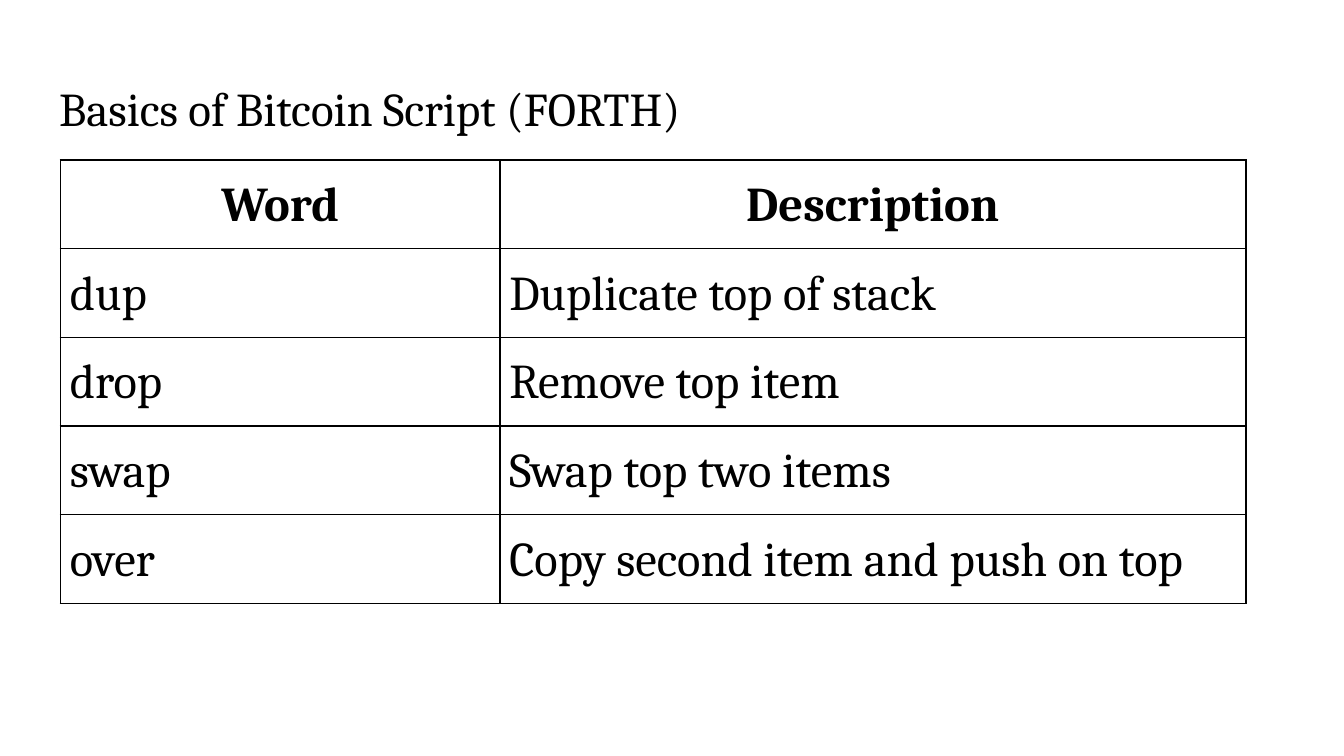
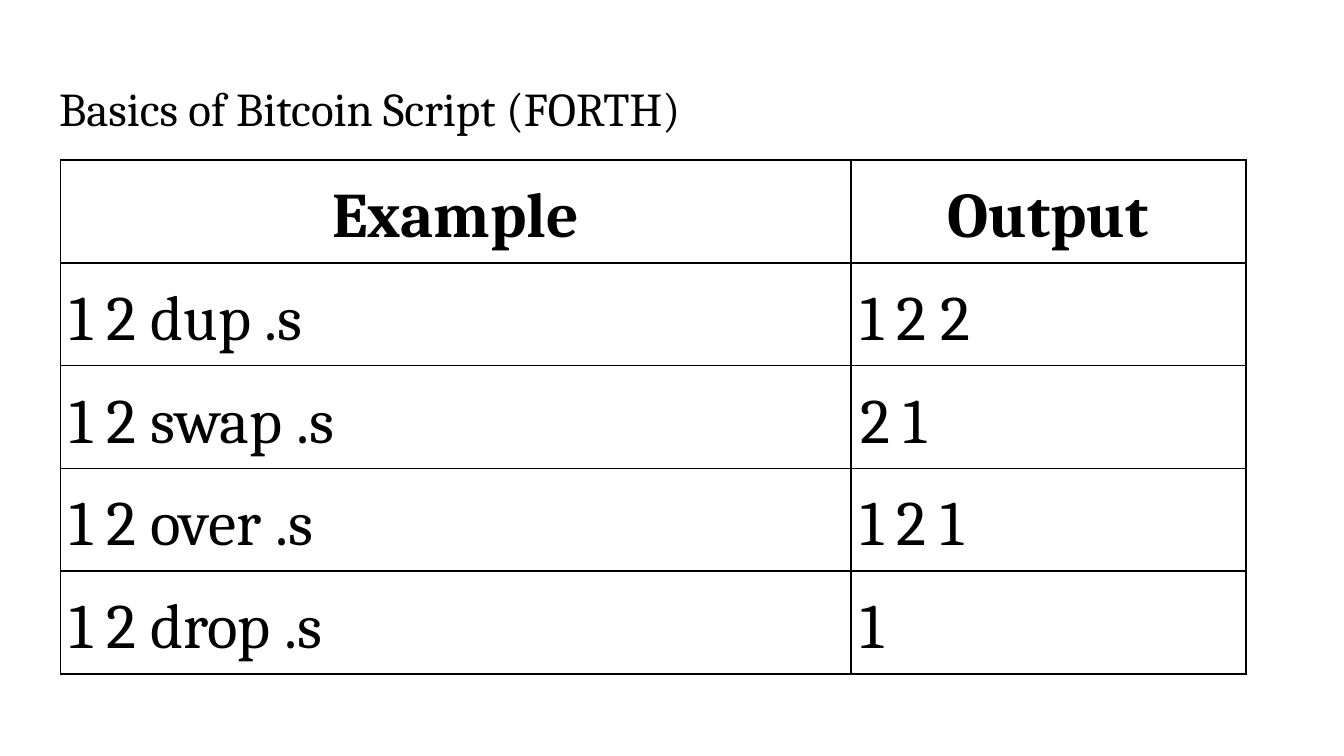
from dataclasses import dataclass

from lxml import etree
from pptx import Presentation
from pptx.dml.color import RGBColor
from pptx.enum import text
from pptx.oxml import ns
from pptx.util import Inches, Pt

# Shared style
SLIDE_WIDTH = 10
SLIDE_HEIGHT = SLIDE_WIDTH * 9 / 16
FONT = "Cambria"
BLACK = "000000"
HEADING = "Basics of Bitcoin Script (FORTH)"
HEADING_SIZE = 25.2
ROW_HEIGHT = 0.66
BORDER_WIDTH = 1


@dataclass(frozen=True)
class WordTable:
    size: float
    columns: tuple[float, ...]
    rows: tuple[tuple[str, ...], ...]


TABLES = (
    WordTable(26, (3.27, 5.55), (
        ("Word", "Description"),
        ("dup", "Duplicate top of stack"),
        ("drop", "Remove top item"),
        ("swap", "Swap top two items"),
        ("over", "Copy second item and push on top"),
    )),
    WordTable(34, (5.88, 2.94), (
        ("Example", "Output"),
        ("1 2 dup .s", "1 2 2"),
        ("1 2 swap .s", "2 1"),
        ("1 2 over .s", "1 2 1"),
        ("1 2 drop .s", "1"),
    )),
)


def color(value: str) -> RGBColor:
    return RGBColor.from_string(value)


def apply(target, formats: dict) -> None:
    for name, value in formats.items():
        setattr(target, name, value)


def format_font(font, size: float, bold: bool = False) -> None:
    apply(font, {"name": FONT, "size": Pt(size), "bold": bold})
    font.color.rgb = color(BLACK)


def margins(inset: float) -> dict:
    return {f"margin_{side}": Inches(inset)
            for side in ("left", "top", "right", "bottom")}


def add_borders(cell) -> None:
    properties = cell._tc.get_or_add_tcPr()
    for position, tag in enumerate(("a:lnL", "a:lnR", "a:lnT", "a:lnB")):
        line = etree.Element(ns.qn(tag), w=str(Pt(BORDER_WIDTH)))
        fill = etree.SubElement(line, ns.qn("a:solidFill"))
        etree.SubElement(fill, ns.qn("a:srgbClr"), val=BLACK)
        properties.insert(position, line)


# Slide parts
def add_heading(slide) -> None:
    heading = slide.shapes.title
    apply(heading, {"left": Inches(0.34), "top": Inches(0.49),
                    "width": Inches(9.32), "height": Inches(0.63)})
    frame = heading.text_frame
    apply(frame, {"text": HEADING, "word_wrap": True,
                  "auto_size": text.MSO_AUTO_SIZE.NONE,
                  "vertical_anchor": text.MSO_ANCHOR.TOP, **margins(0.1)})
    paragraph = frame.paragraphs[0]
    paragraph.alignment = text.PP_ALIGN.LEFT
    format_font(paragraph.runs[0].font, HEADING_SIZE)


def fill_cell(cell, words: str, size: float, is_header: bool) -> None:
    apply(cell, {"text": words, "vertical_anchor": text.MSO_ANCHOR.TOP,
                 **margins(0.07)})
    cell.fill.background()
    add_borders(cell)
    paragraph = cell.text_frame.paragraphs[0]
    alignment = text.PP_ALIGN.CENTER if is_header else text.PP_ALIGN.JUSTIFY
    apply(paragraph, {"alignment": alignment, "line_spacing": 1.15})
    format_font(paragraph.runs[0].font, size, is_header)


def add_word_table(slide, content: WordTable) -> None:
    count = len(content.rows)
    grid = slide.shapes.add_table(
        count, len(content.columns), Inches(0.45), Inches(1.19),
        Inches(sum(content.columns)), Inches(ROW_HEIGHT * count)).table
    apply(grid, {"first_row": False, "horz_banding": False})
    for column, width in zip(grid.columns, content.columns):
        column.width = Inches(width)
    for index, (row, entries) in enumerate(zip(grid.rows, content.rows)):
        row.height = Inches(ROW_HEIGHT)
        for cell, words in zip(row.cells, entries):
            fill_cell(cell, words, content.size, index == 0)


def main() -> None:
    deck = Presentation()
    apply(deck, {"slide_width": Inches(SLIDE_WIDTH),
                 "slide_height": Inches(SLIDE_HEIGHT)})
    title_only = deck.slide_layouts[5]
    for content in TABLES:
        slide = deck.slides.add_slide(title_only)
        add_heading(slide)
        add_word_table(slide, content)
    deck.save("out.pptx")


if __name__ == "__main__":
    main()
